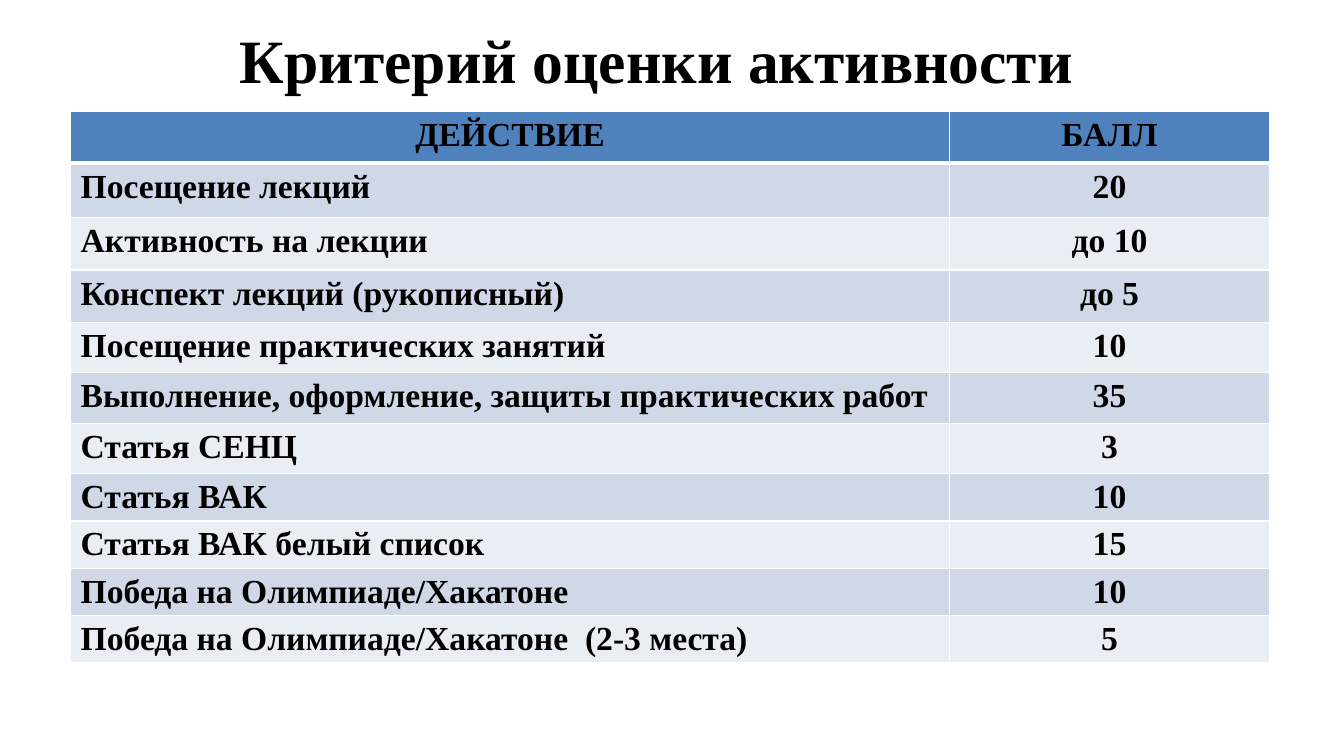
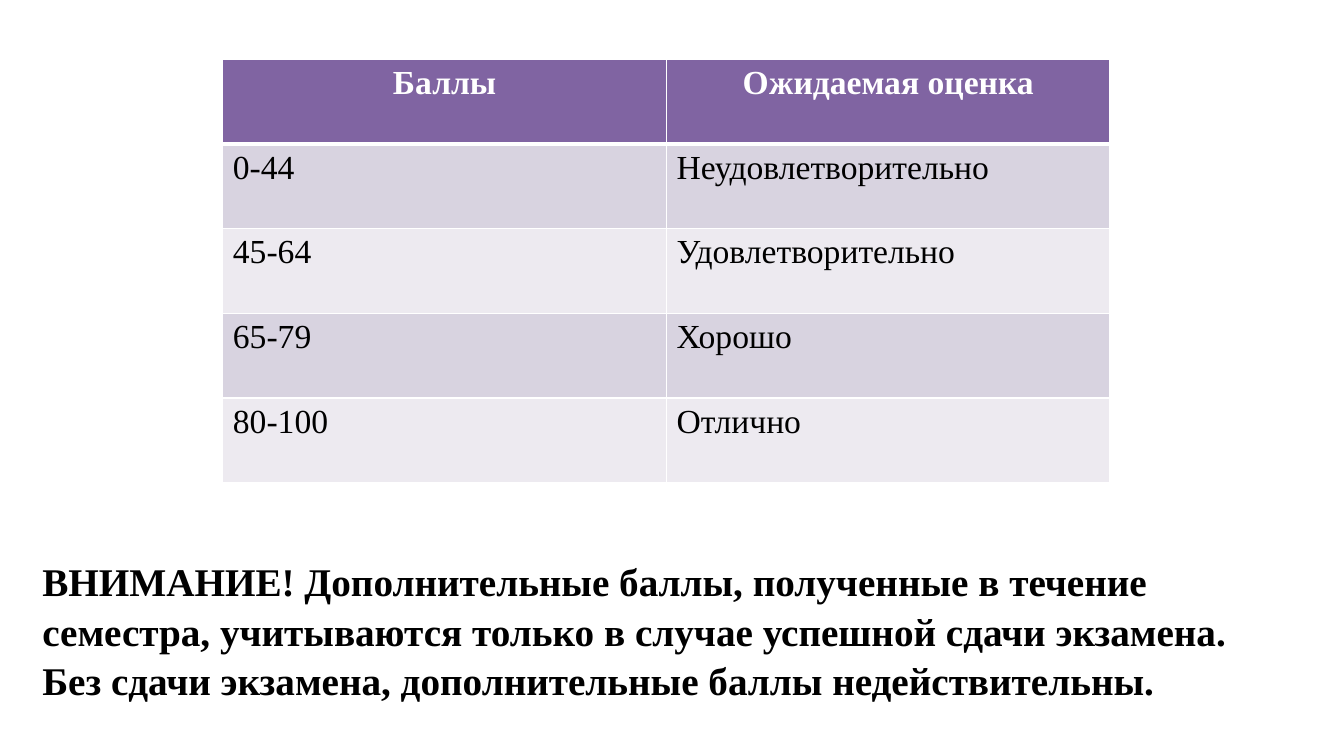
from lxml.etree import SubElement
from pptx import Presentation
from pptx.dml.color import RGBColor
from pptx.enum.text import MSO_ANCHOR, MSO_AUTO_SIZE, PP_ALIGN
from pptx.oxml.ns import qn
from pptx.util import Inches, Pt

COLORS = {
    "text": "000000", "light": "FFFFFF",
    "blue": "4F81BD", "blue_dark": "D0D8E8", "blue_pale": "E9EDF4",
    "purple": "8064A2", "purple_dark": "D8D3E0", "purple_pale": "EDEAF0",
}
FONT = "Times New Roman"
TITLE_FRAME = {
    "margin_left": 0, "margin_right": 0, "margin_top": 0, "margin_bottom": 0,
    "word_wrap": True, "auto_size": MSO_AUTO_SIZE.NONE,
    "vertical_anchor": MSO_ANCHOR.TOP,
}


def write(frame, text, size, align, color="text", bold=True, spacing=1.0):
    """Fill a text frame, one paragraph a line, in the shared font."""
    frame.text = text
    for paragraph in frame.paragraphs:
        paragraph.alignment = align
        paragraph.line_spacing = spacing
        font = paragraph.runs[0].font
        for name, value in {"name": FONT, "size": Pt(size), "bold": bold}.items():
            setattr(font, name, value)
        font.color.rgb = RGBColor.from_string(COLORS[color])


def add_grid(slide, rows, left, top, widths, heights, palette, aligns, head_color, body_bold):
    """Add a table with a coloured header, banded rows and white borders."""
    table = slide.shapes.add_table(
        len(rows), len(widths), Inches(left), Inches(top),
        Inches(sum(widths)), Inches(sum(heights))).table
    for column, width in zip(table.columns, widths):
        column.width = Inches(width)
    for r, (row, height) in enumerate(zip(rows, heights)):
        table.rows[r].height = Inches(height)
        is_head = r == 0
        band = palette if is_head else palette + ("_dark" if r % 2 else "_pale")
        for c, text in enumerate(row):
            cell = table.cell(r, c)
            write(cell.text_frame, text, 24,
                  PP_ALIGN.CENTER if is_head else aligns[c],
                  head_color if is_head else "text", is_head or body_bold)
            # The line under the header is thicker
            for side in ("L", "R", "T", "B"):
                thick = (is_head and side == "B") or (r == 1 and side == "T")
                border = SubElement(cell._tc.get_or_add_tcPr(), qn(f"a:ln{side}"),
                                    w=str(Pt(3 if thick else 1)))
                fill = SubElement(border, qn("a:solidFill"))
                SubElement(fill, qn("a:srgbClr"), val=COLORS["light"])
            cell.fill.solid()
            cell.fill.fore_color.rgb = RGBColor.from_string(COLORS[band])


prs = Presentation()
prs.slide_width, prs.slide_height = Inches(13.33), Inches(7.5)

# Title placeholder of each slide: text, box, size, alignment, line spacing
titles = [
    ("Критерий оценки активности", (1, 0.22, 11.03, 0.75), 44, PP_ALIGN.CENTER, 1.0),
    ("ВНИМАНИЕ! Дополнительные баллы, полученные в течение семестра, "
     "учитываются только в случае успешной сдачи экзамена.\n"
     "Без сдачи экзамена, дополнительные баллы недействительны.",
     (0.42, 5.51, 12.58, 1.5), 28, PP_ALIGN.LEFT, 1.05),
]
for text, box, size, align, spacing in titles:
    title = prs.slides.add_slide(prs.slide_layouts[5]).shapes.title
    title.left, title.top, title.width, title.height = map(Inches, box)
    for name, value in TITLE_FRAME.items():
        setattr(title.text_frame, name, value)
    write(title.text_frame, text, size, align, spacing=spacing)
criteria_slide, grades_slide = prs.slides

# Points for each activity
criteria = [
    ("ДЕЙСТВИЕ", "БАЛЛ"),
    ("Посещение лекций", "20"),
    ("Активность на лекции", "до 10"),
    ("Конспект лекций (рукописный)", "до 5"),
    ("Посещение практических занятий", "10"),
    ("Выполнение, оформление, защиты практических работ", "35"),
    ("Статья СЕНЦ", "3"),
    ("Статья ВАК", "10"),
    ("Статья ВАК белый список", "15"),
    ("Победа на Олимпиаде/Хакатоне", "10"),
    ("Победа на Олимпиаде/Хакатоне  (2-3 места)", "5"),
]
add_grid(criteria_slide, criteria, 0.7, 1.11, [8.72, 3.17],
         [0.51, 0.54] + [0.52] * 2 + [0.5] * 3 + [0.47] * 4,
         "blue", [PP_ALIGN.LEFT, PP_ALIGN.CENTER], "text", True)

# Expected grade for each range of points
grades = [
    ("Баллы", "Ожидаемая оценка"),
    ("0-44", "Неудовлетворительно"),
    ("45-64", "Удовлетворительно"),
    ("65-79", "Хорошо"),
    ("80-100", "Отлично"),
]
add_grid(grades_slide, grades, 2.21, 0.59, [4.4] * 2, [0.84] * len(grades),
         "purple", [PP_ALIGN.LEFT] * 2, "light", False)

prs.save("out.pptx")
